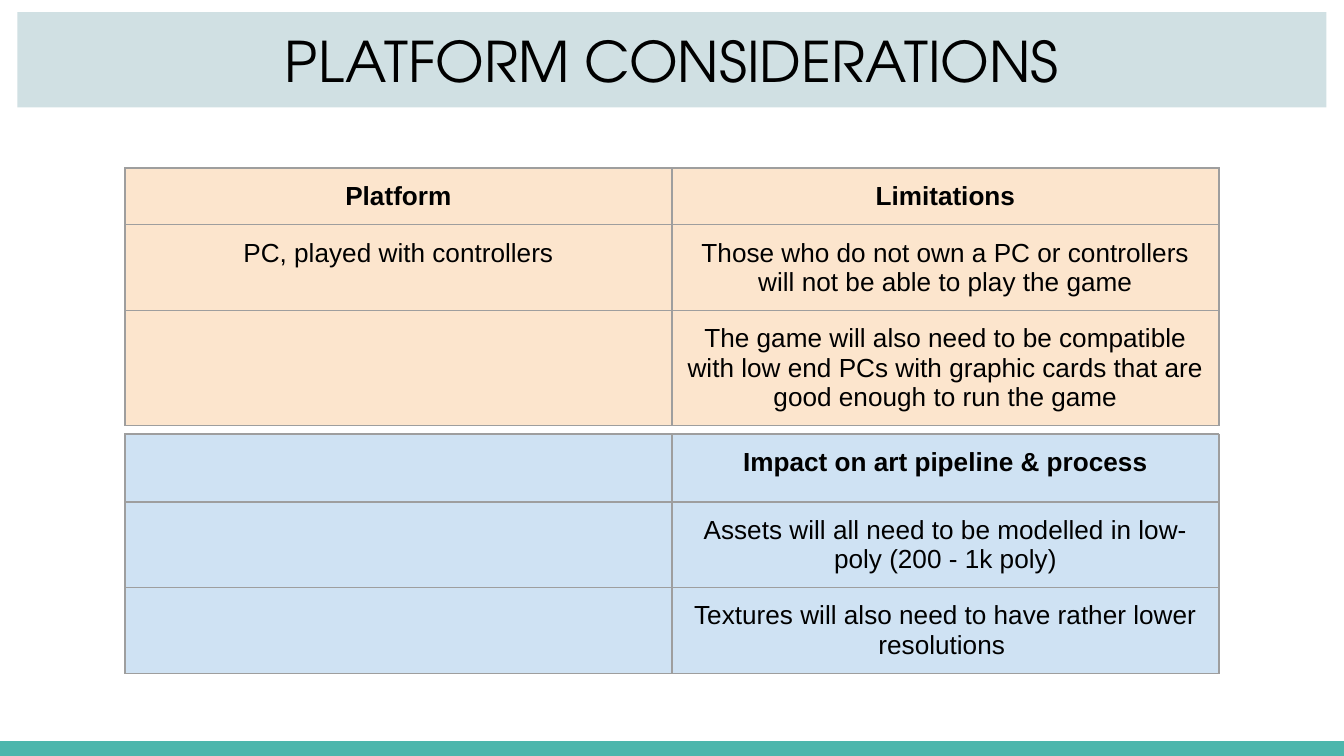
import pptx
import pptx.util
import pptx.dml.color
import pptx.enum.shapes
import pptx.enum.text
import pptx.oxml
import pptx.oxml.ns

WIDTH = 10
HEIGHT = WIDTH * 9 / 16
HUES = {"ink": "000000", "band": "D0E0E3", "foot": "4DB6AC",
        "peach": "FCE5CD", "sky": "CFE2F3", "edge": "9E9E9E"}
LIMITS = [
    ("Platform", "Limitations"),
    ("PC, played with controllers",
     "Those who do not own a PC or controllers will not be able to play the game"),
    ("", "The game will also need to be compatible with low end PCs "
         "with graphic cards that are good enough to run the game"),
]
IMPACTS = [
    ("", "Impact on art pipeline & process"),
    ("", "Assets will all need to be modelled in low-poly (200 - 1k poly)"),
    ("", "Textures will also need to have rather lower resolutions "),
]


def hue(name):
    """Return the named colour."""
    return pptx.dml.color.RGBColor.from_string(HUES[name])


def paint(item, name):
    """Fill a shape or cell with one colour."""
    item.fill.solid()
    item.fill.fore_color.rgb = hue(name)


def inset(item):
    """Give a text frame or cell even insets."""
    item.margin_left = item.margin_right = pptx.util.Inches(0.1)
    item.margin_top = item.margin_bottom = pptx.util.Inches(0.1)


def write(frame, text, face, size, bold=False):
    """Write one centred paragraph."""
    line = frame.paragraphs[0]
    line.text = text
    line.alignment = pptx.enum.text.PP_ALIGN.CENTER
    line.font.name = face
    line.font.size = pptx.util.Pt(size)
    line.font.bold = bold
    line.font.color.rgb = hue("ink")


def edge(cell):
    """Draw thin lines on all four sides of a cell."""
    props = cell._tc.get_or_add_tcPr()
    for side in ("lnL", "lnR", "lnT", "lnB"):
        props.append(pptx.oxml.parse_xml(
            f'<a:{side} {pptx.oxml.ns.nsdecls("a")} w="9525"><a:solidFill>'
            f'<a:srgbClr val="{HUES["edge"]}"/></a:solidFill></a:{side}>'))


def head(slide, box):
    """Place the title band in the box."""
    title = slide.shapes.title
    title.left, title.top, title.width, title.height = map(pptx.util.Inches, box)
    paint(title, "band")
    frame = title.text_frame
    inset(frame)
    write(frame, "PLATFORM CONSIDERATIONS", "TeX Gyre Adventor", 30)
    frame.word_wrap = True
    frame.auto_size = pptx.enum.text.MSO_AUTO_SIZE.NONE
    frame.vertical_anchor = pptx.enum.text.MSO_ANCHOR.MIDDLE


def foot(slide, box):
    """Place the plain strip in the box."""
    strip = slide.shapes.add_shape(
        pptx.enum.shapes.MSO_SHAPE.RECTANGLE, *map(pptx.util.Inches, box))
    strip.shadow.inherit = False
    paint(strip, "foot")
    strip.line.fill.background()


def grid(slide, box, rows, name):
    """Place a two-column table in the box, its first row bold."""
    table = slide.shapes.add_table(
        len(rows), 2, *map(pptx.util.Inches, box)).table
    for r, texts in enumerate(rows):
        for c, text in enumerate(texts):
            cell = table.cell(r, c)
            edge(cell)
            paint(cell, name)
            inset(cell)
            if text:
                write(cell.text_frame, text, "Arial", 14, r == 0)


def main():
    """Build the slide and save it."""
    deck = pptx.Presentation()
    deck.slide_width = pptx.util.Inches(WIDTH)
    deck.slide_height = pptx.util.Inches(HEIGHT)
    slide = deck.slides.add_slide(deck.slide_layouts[5])
    foot(slide, (0, HEIGHT - 0.11, WIDTH, 0.11))
    head(slide, (0.13, 0.09, WIDTH - 0.26, 0.71))
    for top, rows, name in ((1.25, LIMITS, "peach"), (3.23, IMPACTS, "sky")):
        grid(slide, (0.93, top, 8.14, 1.27), rows, name)
    deck.save("out.pptx")


if __name__ == "__main__":
    main()
